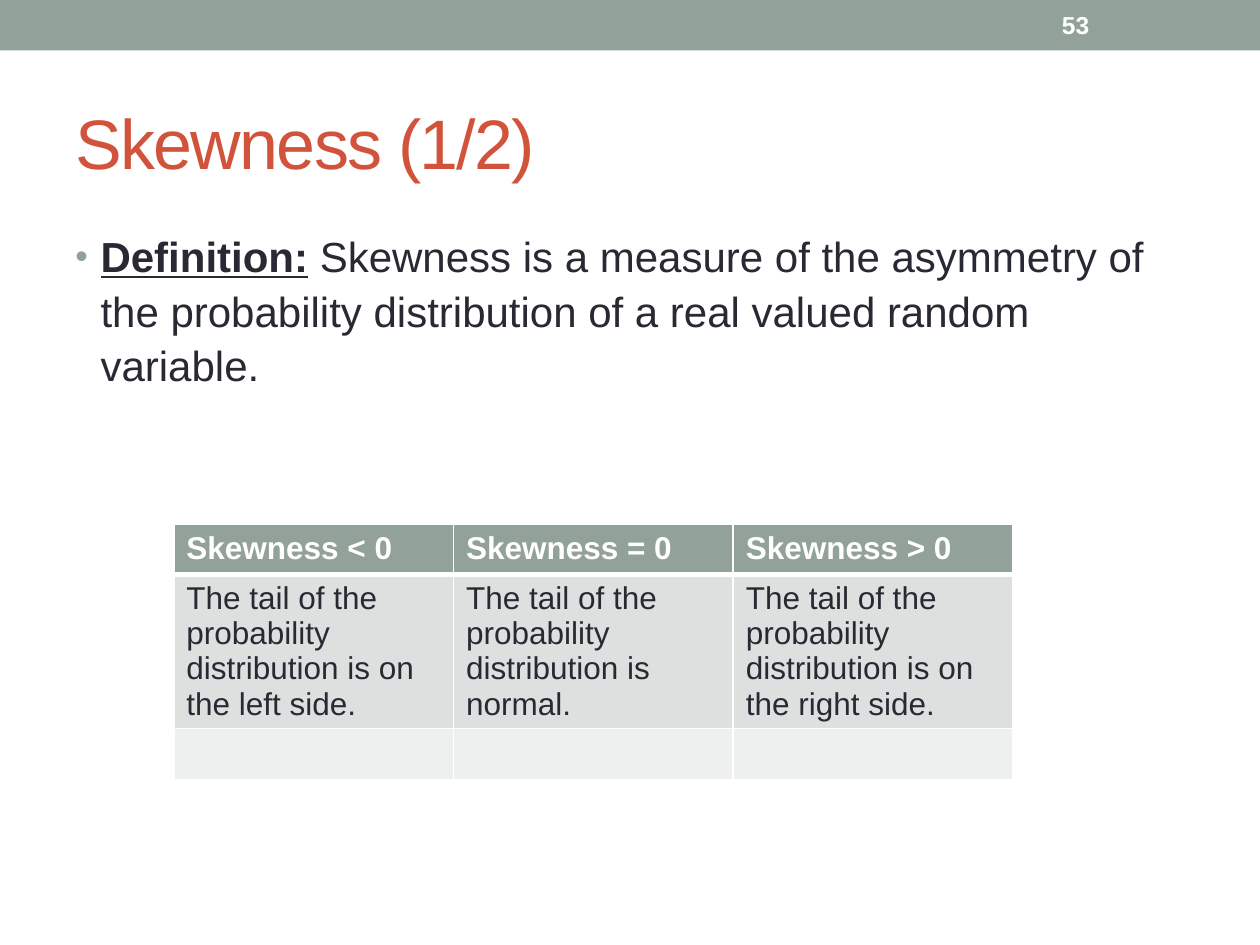
from lxml import etree
from pptx import Presentation
from pptx import util as u
from pptx.dml.color import RGBColor
from pptx.enum import shapes, text
from pptx.oxml.ns import qn

TITLE = "Skewness (1/2)"
PAGE = "53"
TERM = "Definition:"
MEANING = (" Skewness is a measure of the asymmetry of the probability "
           "distribution of a real valued random variable.")
TABLE = [
    ("Skewness < 0", "Skewness = 0", "Skewness > 0"),
    ("The tail of the probability distribution is on the left side.",
     "The tail of the probability distribution is normal.",
     "The tail of the probability distribution is on the right side."),
    ("", "", ""),
]
COLUMN_WIDTH = 2.22
ROW_HEIGHTS = (0.4, 1.21, 0.4)

THEME = {
    "font": "Arial", "accent": "93A299", "title": "D2533C", "text": "292934",
    "white": "FFFFFF", "rows": ("93A299", "DCE0DE", "EEF0EF"),
    "title_size": 40, "body_size": 24, "table_size": 18, "page_size": 14,
}


def color(name):
    return RGBColor.from_string(THEME.get(name, name))


def add_text(paragraph, content, size, ink="text", bold=False, underline=False):
    run = paragraph.add_run()
    run.text = content
    font = run.font
    font.name, font.size = THEME["font"], u.Pt(THEME[size])
    font.bold, font.underline = bold, underline
    font.color.rgb = color(ink)
    paragraph.alignment = text.PP_ALIGN.LEFT
    return run


def set_frame(shape, box, anchor):
    shape.left, shape.top, shape.width, shape.height = map(u.Inches, box)
    frame = shape.text_frame
    frame.word_wrap = True
    frame.auto_size = text.MSO_AUTO_SIZE.NONE
    frame.vertical_anchor = anchor
    return frame.paragraphs[0]


def add_bullet(paragraph, indent):
    properties = paragraph._p.get_or_add_pPr()
    properties.set("marL", str(u.Inches(indent)))
    properties.set("indent", str(-u.Inches(indent)))
    holder = etree.SubElement(properties, qn("a:buClr"))
    etree.SubElement(holder, qn("a:srgbClr"), val=THEME["accent"])
    etree.SubElement(properties, qn("a:buSzPct"), val="85000")
    etree.SubElement(properties, qn("a:buFont"), typeface=THEME["font"])
    etree.SubElement(properties, qn("a:buChar"), char="•")


def set_borders(cell, **widths):
    properties = cell._tc.get_or_add_tcPr()
    for position, side in enumerate("LRTB"):
        line = etree.Element(qn(f"a:ln{side}"), w=str(u.Pt(widths.get(side, 1))))
        fill = etree.SubElement(line, qn("a:solidFill"))
        etree.SubElement(fill, qn("a:srgbClr"), val=THEME["white"])
        properties.insert(position, line)


def add_table(slide, left, top):
    columns = len(TABLE[0])
    table = slide.shapes.add_table(
        len(TABLE), columns, u.Inches(left), u.Inches(top),
        u.Inches(COLUMN_WIDTH * columns), u.Inches(sum(ROW_HEIGHTS))).table
    for column in table.columns:
        column.width = u.Inches(COLUMN_WIDTH)
    for row_index, contents in enumerate(TABLE):
        table.rows[row_index].height = u.Inches(ROW_HEIGHTS[row_index])
        header = row_index == 0
        for column_index, content in enumerate(contents):
            cell = table.cell(row_index, column_index)
            cell.fill.solid()
            cell.fill.fore_color.rgb = color(THEME["rows"][row_index])
            set_borders(cell, B=3 if header else 1, T=3 if row_index == 1 else 1)
            paragraph = cell.text_frame.paragraphs[0]
            if content:
                add_text(paragraph, content, "table_size",
                         ink="white" if header else "text", bold=header)
            else:
                paragraph.font.size = u.Pt(THEME["table_size"])


def main():
    presentation = Presentation()
    presentation.slide_width, presentation.slide_height = u.Inches(10), u.Inches(7.5)
    slide = presentation.slides.add_slide(presentation.slide_layouts[5])

    band = slide.shapes.add_shape(shapes.MSO_SHAPE.RECTANGLE, 0, 0,
                                  presentation.slide_width, u.Inches(0.4))
    band.shadow.inherit = False
    band.fill.solid()
    band.fill.fore_color.rgb = color("accent")
    band.line.fill.background()

    middle, top = text.MSO_ANCHOR.MIDDLE, text.MSO_ANCHOR.TOP
    heading = set_frame(slide.shapes.title, (0.5, 0.58, 9, 1.08), middle)
    run = add_text(heading, TITLE, "title_size", ink="title")
    run.font._element.set("spc", "-100")

    body = set_frame(slide.shapes.add_textbox(0, 0, 0, 0), (0.5, 1.75, 9, 5.33), top)
    add_text(body, TERM, "body_size", bold=True, underline=True)
    add_text(body, MEANING, "body_size")
    body.line_spacing = 1.08
    add_bullet(body, 0.2)

    number = set_frame(slide.shapes.add_textbox(0, 0, 0, 0), (8.33, 0.02, 1.17, 0.36), middle)
    add_text(number, PAGE, "page_size", ink="white", bold=True)

    add_table(slide, 1.38, 4.16)
    presentation.save("out.pptx")


if __name__ == "__main__":
    main()
